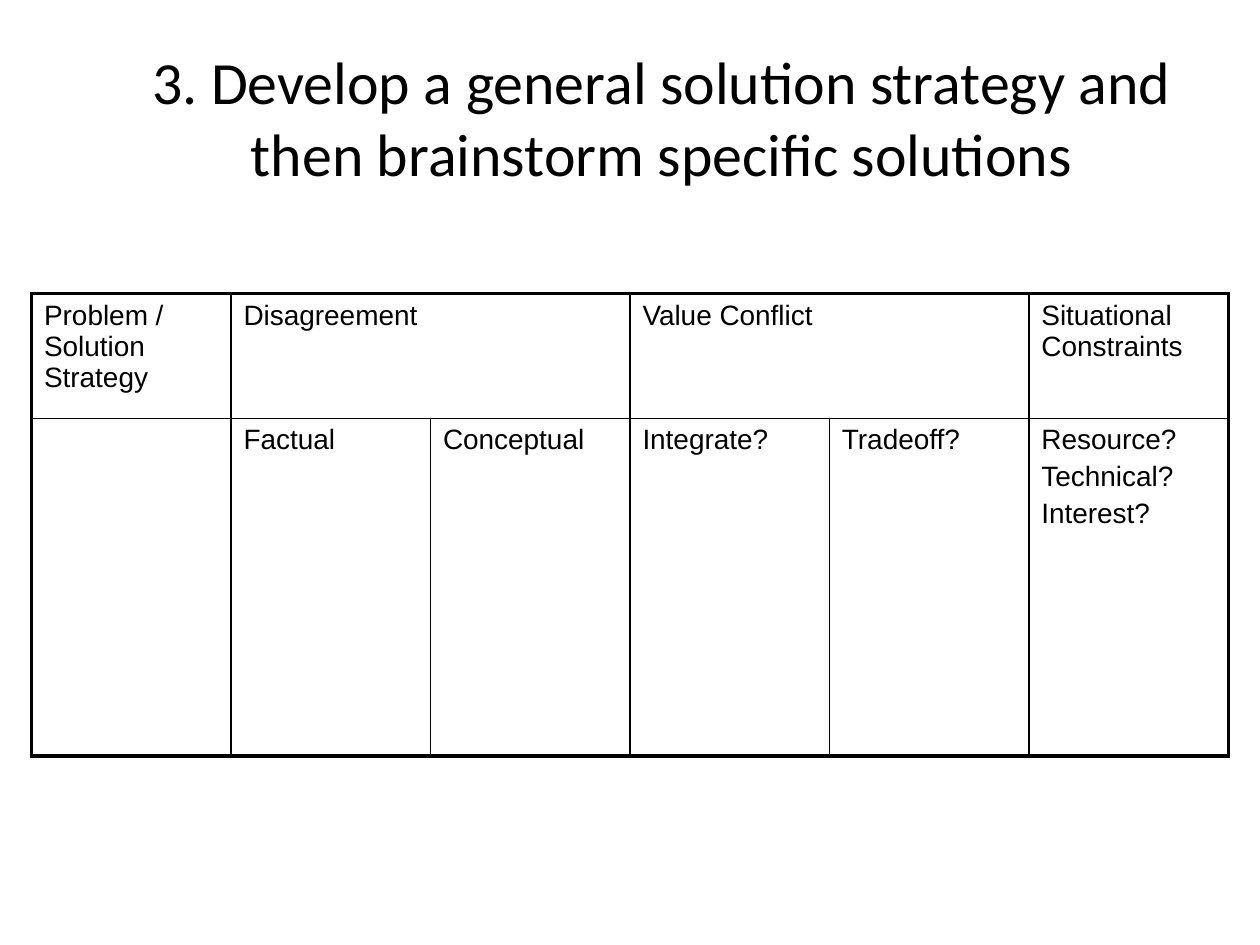
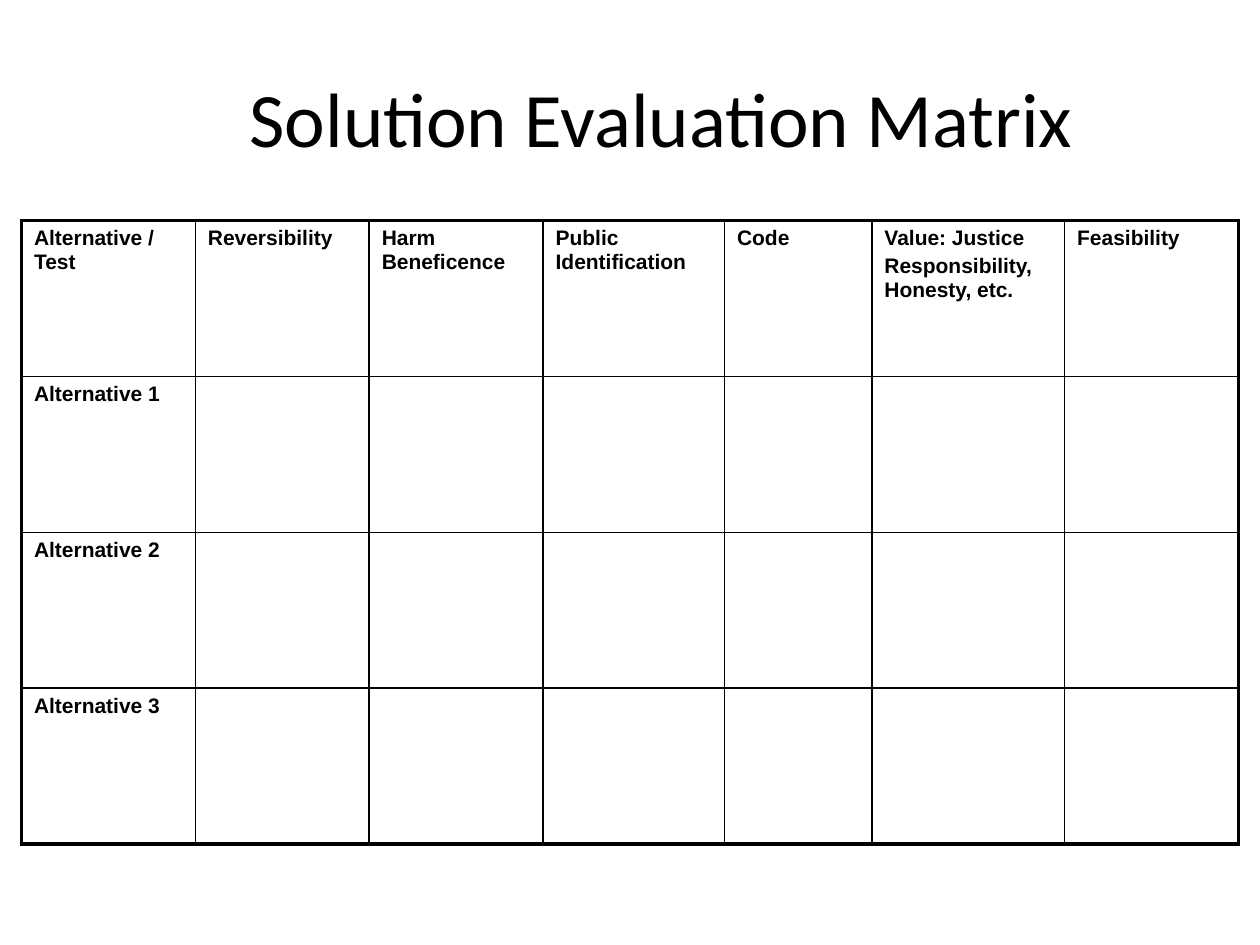
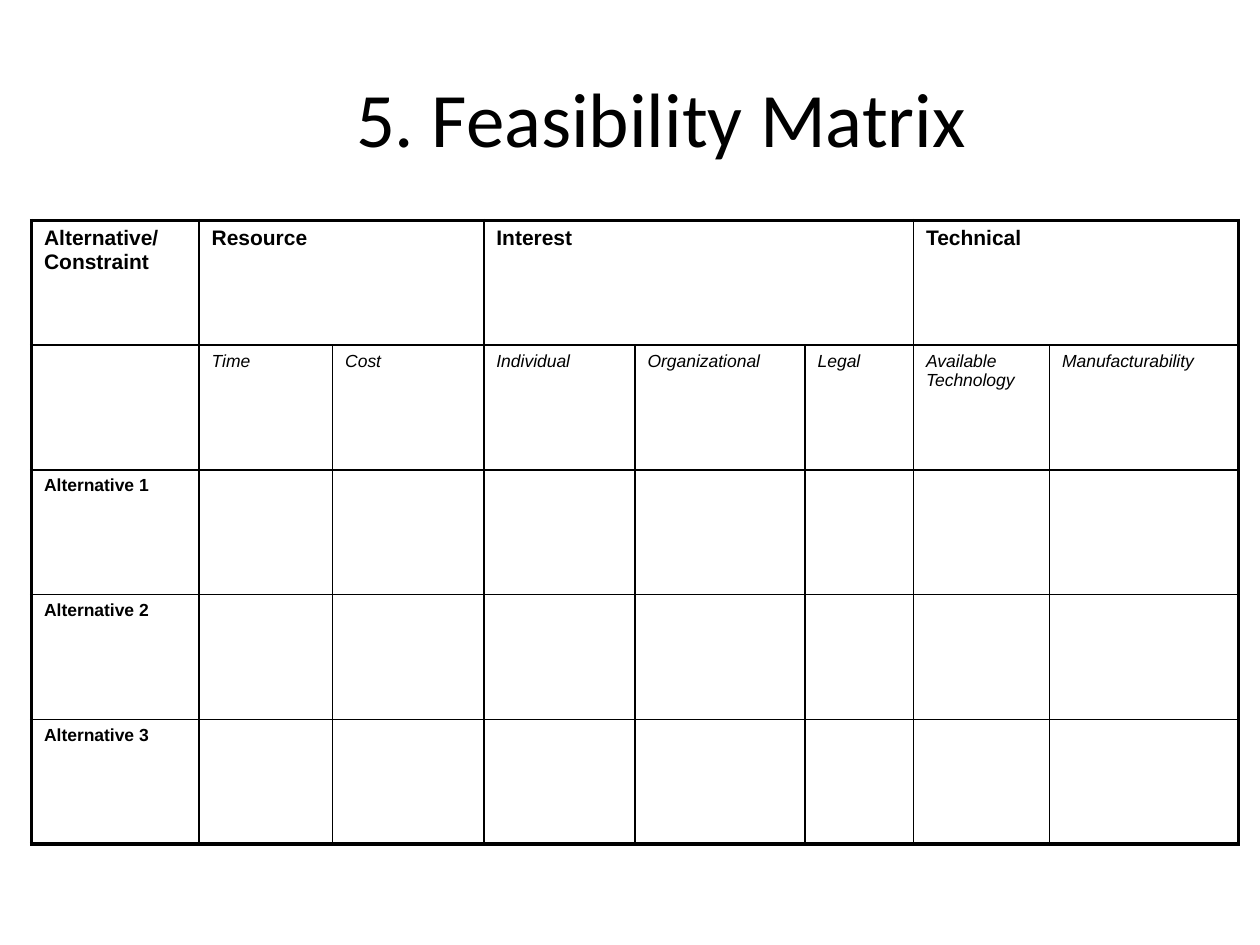
from lxml import etree
from pptx import Presentation
from pptx.dml.color import RGBColor
from pptx.enum import text
from pptx.oxml import ns
from pptx.util import Inches, Pt

BLACK = RGBColor(0x00, 0x00, 0x00)
WHITE = RGBColor(0xFF, 0xFF, 0xFF)
TITLE_FONT, TABLE_FONT = "Calibri", "Arial"
OUTER_LINE, INNER_LINE = Pt(2.25), Pt(1)


def write(frame, content, font=TABLE_FONT, size=12, bold=False, italic=False,
          align=text.PP_ALIGN.LEFT, space=0.2):
    """Write one paragraph per line; space is a share of the text size."""
    for index, line in enumerate(content.split("\n")):
        paragraph = frame.paragraphs[0] if index == 0 else frame.add_paragraph()
        paragraph.alignment = align
        paragraph.space_before = Pt(space * size)
        run = paragraph.add_run()
        run.text = line
        run.font.name = font
        run.font.size = Pt(size)
        run.font.bold = bold
        run.font.italic = italic
        run.font.color.rgb = BLACK


def set_borders(cell, widths):
    """Draw the left, right, top and bottom cell borders, in that order."""
    properties = cell._tc.get_or_add_tcPr()
    for index, (side, width) in enumerate(zip("LRTB", widths)):
        line = etree.Element(ns.qn(f"a:ln{side}"), w=str(int(width)))
        fill = etree.SubElement(line, ns.qn("a:solidFill"))
        etree.SubElement(fill, ns.qn("a:srgbClr"), val=str(BLACK))
        properties.insert(index, line)


# Row formats
PLAIN = dict(size=16)
HEADING = dict(size=12, bold=True)
SUBHEADING = dict(size=10, italic=True)
ROW_LABEL = dict(size=10, bold=True)

ALTERNATIVES = ["Alternative 1", "Alternative 2", "Alternative 3"]

# Each row is a format and its cells; None continues the cell on its left
SLIDES = [
    dict(
        title="3. Develop a general solution strategy and then brainstorm "
              "specific solutions",
        title_size=34.2, left=0.25, top=2.33,
        columns=[9.5 / 6] * 6, heights=[0.99, 2.68],
        rows=[
            (PLAIN, ["Problem / Solution Strategy", "Disagreement", None,
                     "Value Conflict", None, "Situational Constraints"]),
            (PLAIN, ["", "Factual", "Conceptual", "Integrate?", "Tradeoff?",
                     "Resource?\nTechnical?\nInterest?"]),
        ]),
    dict(
        title="Solution Evaluation Matrix",
        title_size=44, left=0.17, top=1.75,
        columns=[1.38, 1.38, 1.38, 1.44, 1.17, 1.53, 1.38],
        heights=[4.95 / 4] * 4,
        rows=[
            (HEADING, ["Alternative / Test", "Reversibility",
                       "Harm Beneficence", "Public Identification", "Code",
                       "Value: Justice\nResponsibility, Honesty, etc.",
                       "Feasibility"]),
        ] + [(HEADING, [name] + [""] * 6) for name in ALTERNATIVES]),
    dict(
        title="5. Feasibility Matrix",
        title_size=44, left=0.25, top=1.75,
        columns=[1.33, 1.06, 1.2, 1.2, 1.35, 0.86, 1.08, 1.5],
        heights=[4.95 / 5] * 5,
        rows=[
            (HEADING, ["Alternative/ Constraint", "Resource", None,
                       "Interest", None, None, "Technical", None]),
            (SUBHEADING, ["", "Time", "Cost", "Individual", "Organizational",
                          "Legal", "Available Technology",
                          "Manufacturability"]),
        ] + [(ROW_LABEL, [name] + [""] * 7) for name in ALTERNATIVES]),
]

presentation = Presentation()
presentation.slide_width = Inches(10)
presentation.slide_height = Inches(7.5)

for content in SLIDES:
    slide = presentation.slides.add_slide(presentation.slide_layouts[6])
    slide.background.fill.solid()
    slide.background.fill.fore_color.rgb = WHITE

    # Title
    title = slide.shapes.add_textbox(Inches(1), Inches(0.3),
                                     Inches(8.5), Inches(1.25))
    title.text_frame.word_wrap = True
    title.text_frame.vertical_anchor = text.MSO_ANCHOR.MIDDLE
    write(title.text_frame, content["title"], font=TITLE_FONT,
          size=content["title_size"], align=text.PP_ALIGN.CENTER, space=0)

    # Table grid
    columns, heights = content["columns"], content["heights"]
    table = slide.shapes.add_table(
        len(heights), len(columns), Inches(content["left"]),
        Inches(content["top"]), Inches(sum(columns)),
        Inches(sum(heights))).table
    table.first_row = table.horz_banding = False
    for column, width in zip(table.columns, columns):
        column.width = Inches(width)
    for row, height in zip(table.rows, heights):
        row.height = Inches(height)

    # Cells: a heavy frame outside, thin lines inside
    for r, (row_format, labels) in enumerate(content["rows"]):
        for c, label in enumerate(labels):
            cell = table.cell(r, c)
            end = c + 1
            while end < len(labels) and labels[end] is None:
                end += 1
            cell.fill.background()
            on_edge = (c == 0, end == len(labels),
                       r == 0, r == len(heights) - 1)
            set_borders(cell, [OUTER_LINE if edge else INNER_LINE
                               for edge in on_edge])
            if label is not None and end > c + 1:
                cell.merge(table.cell(r, end - 1))
            if label:
                write(cell.text_frame, label, **row_format)

presentation.save("out.pptx")
